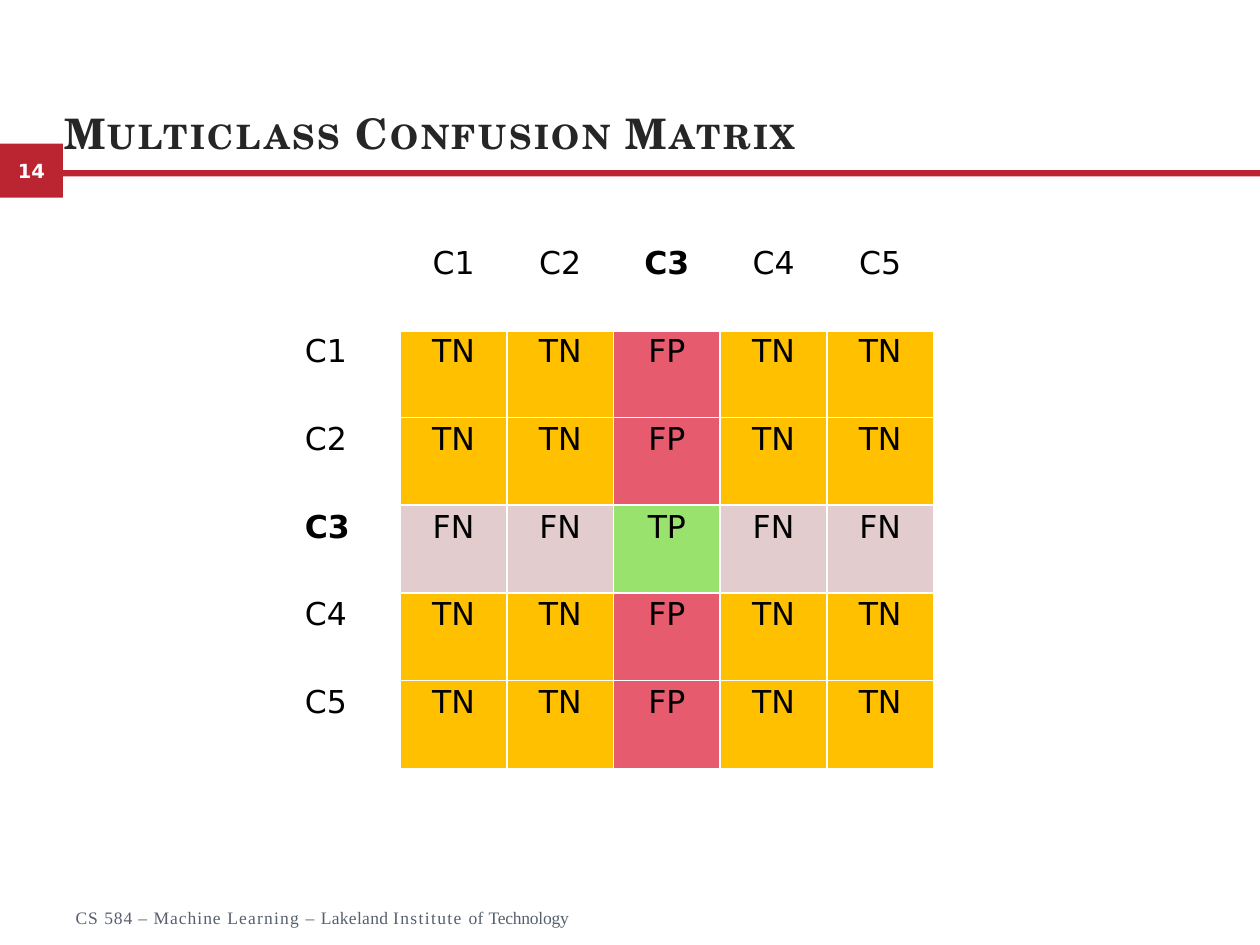
import pptx
import pptx.util
import pptx.dml.color
import pptx.enum.shapes
import pptx.enum.text
import pptx.oxml
import pptx.oxml.ns
from dataclasses import dataclass

Inches = pptx.util.Inches
Pt = pptx.util.Pt
Align = pptx.enum.text.PP_ALIGN
Anchor = pptx.enum.text.MSO_ANCHOR


@dataclass(frozen=True)
class Theme:
    red: str = "BB2532"
    white: str = "FFFFFF"
    black: str = "000000"
    dark: str = "262626"
    slate: str = "565F6C"
    gold: str = "FFC000"
    rose: str = "E75B6E"
    blush: str = "E2CCCD"
    green: str = "9AE26E"
    sans: str = "DejaVu Sans"
    serif: str = "TeX Gyre Schola"
    roman: str = "Times New Roman"
    title: float = 24
    body: float = 18
    badge: float = 11.1
    foot: float = 10


theme = Theme()


def add_run(para, text, font, size, color, bold=False, space=0):
    run = para.add_run()
    run.text = text
    run.font.name = font
    run.font.size = Pt(size)
    run.font.bold = bold
    run.font.color.rgb = pptx.dml.color.RGBColor.from_string(color)
    if space:
        run.font._element.set("spc", str(round(space * 100)))
    return run


def add_text(left, top, width, height, inset, before, anchor):
    box = slide.shapes.add_textbox(Inches(left), Inches(top), Inches(width), Inches(height))
    frame = box.text_frame
    frame.word_wrap = True
    frame.vertical_anchor = anchor
    frame.margin_left = frame.margin_right = frame.margin_bottom = 0
    frame.margin_top = Inches(inset)
    para = frame.paragraphs[0]
    para.space_before = Pt(before)
    para._p.get_or_add_pPr().set("marL", str(Inches(0.01)))
    return para


deck = pptx.Presentation()
deck.slide_width = Inches(10)
deck.slide_height = Inches(7.5)
slide = deck.slides.add_slide(deck.slide_layouts[6])

for left, top, width, height, label in [(0, 1.14, 0.5, 0.43, "14"), (0.5, 1.35, 9.5, 0.05, "")]:
    bar = slide.shapes.add_shape(
        pptx.enum.shapes.MSO_SHAPE.RECTANGLE,
        Inches(left), Inches(top), Inches(width), Inches(height))
    bar.shadow.inherit = False
    bar.fill.solid()
    bar.fill.fore_color.rgb = pptx.dml.color.RGBColor.from_string(theme.red)
    bar.line.fill.background()
    if label:
        frame = bar.text_frame
        frame.margin_left = frame.margin_right = 0
        frame.vertical_anchor = Anchor.MIDDLE
        frame.paragraphs[0].alignment = Align.CENTER
        add_run(frame.paragraphs[0], label, theme.sans, theme.badge, theme.white, True)

title = add_text(0.5, 0.73, 9, 0.52, 0.12, 1, Anchor.BOTTOM)
run = add_run(title, "Multiclass Confusion Matrix", theme.serif, theme.title, theme.dark, True, 1.5)
run.font._element.set("cap", "small")

foot = add_text(0.59, 7.2, 3.94, 0.2, 0, 0.8, Anchor.TOP)
for text, space in [("CS ", 0.6), ("584 ", 0.5), ("– Machine ", 0.6), ("Learning ", 0.7),
                    ("– ", 0.6), ("Lakeland ", 0.2), ("Institute ", 0.8), ("of ", 0.2),
                    ("Technology", -0.1)]:
    add_run(foot, text, theme.roman, theme.foot, theme.slate, space=space)

names = ["C1", "C2", "C3", "C4", "C5"]
focus = "C3"
kinds = {(True, True): ("TP", theme.green), (True, False): ("FN", theme.blush),
         (False, True): ("FP", theme.rose), (False, False): ("TN", theme.gold)}
heads = [""] + names
count = len(heads)
grid = slide.shapes.add_table(
    count, count, Inches(2.33), Inches(1.92), Inches(5.08), Inches(4.18)).table
grid.first_row = False
grid.horz_banding = False

for row, real in enumerate(heads):
    for col, guess in enumerate(heads):
        if row and col:
            text, fill = kinds[real == focus, guess == focus]
        else:
            text, fill = real or guess, theme.white
        cell = grid.cell(row, col)
        cell.margin_left = cell.margin_right = Inches(0.09)
        cell.margin_top = Inches(0.03)
        para = cell.text_frame.paragraphs[0]
        if col:
            para.alignment = Align.CENTER
        if text:
            add_run(para, text, theme.sans, theme.body, theme.black, text == focus)
        props = cell._tc.get_or_add_tcPr()
        for side in ("L", "R", "T", "B"):
            thick = 3 if (row, side) in [(0, "B"), (1, "T")] else 1
            props.append(pptx.oxml.parse_xml(
                f'<a:ln{side} {pptx.oxml.ns.nsdecls("a")} w="{Pt(thick)}"><a:solidFill>'
                f'<a:srgbClr val="{theme.white}"/></a:solidFill></a:ln{side}>'))
        cell.fill.solid()
        cell.fill.fore_color.rgb = pptx.dml.color.RGBColor.from_string(fill)

deck.save("out.pptx")
